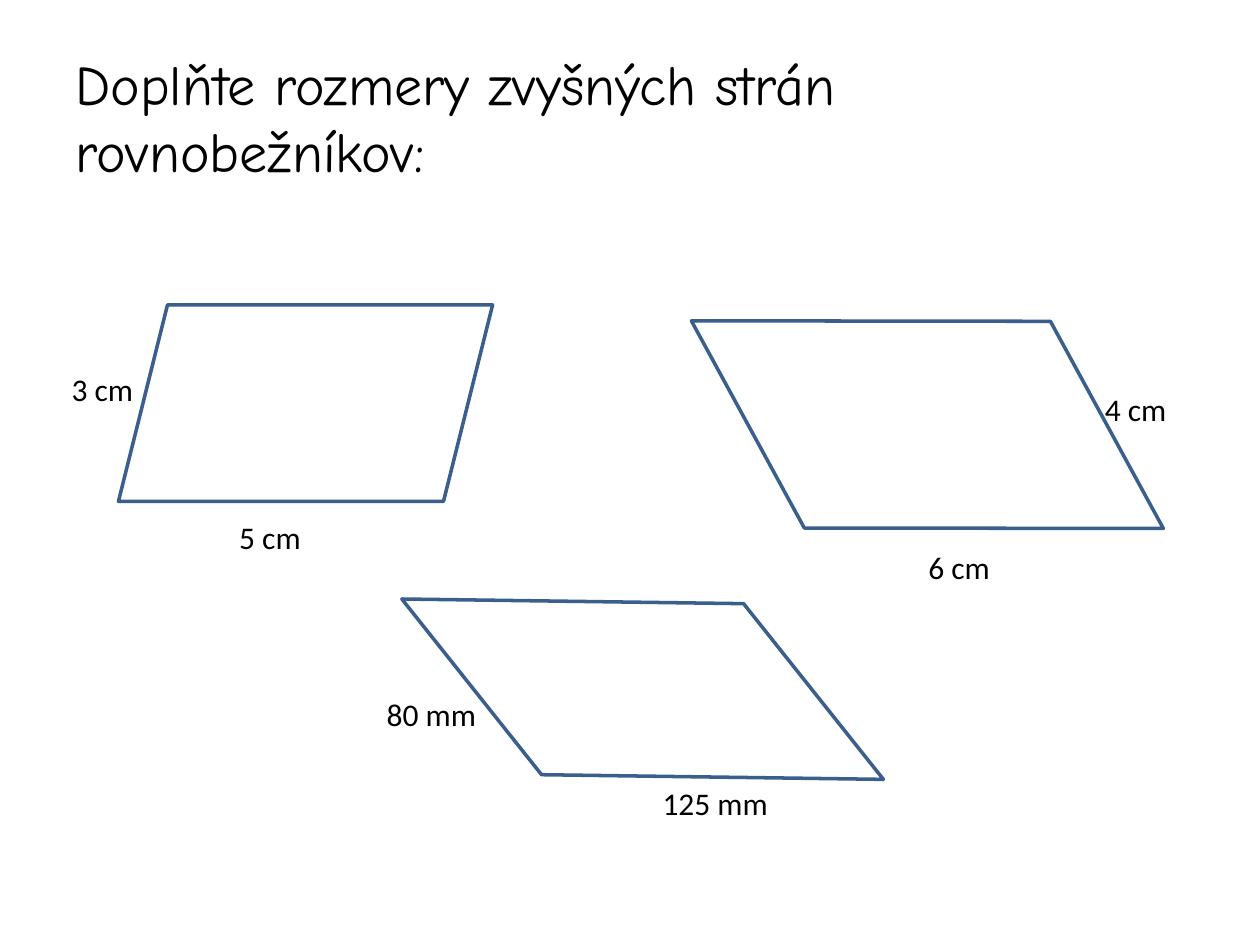
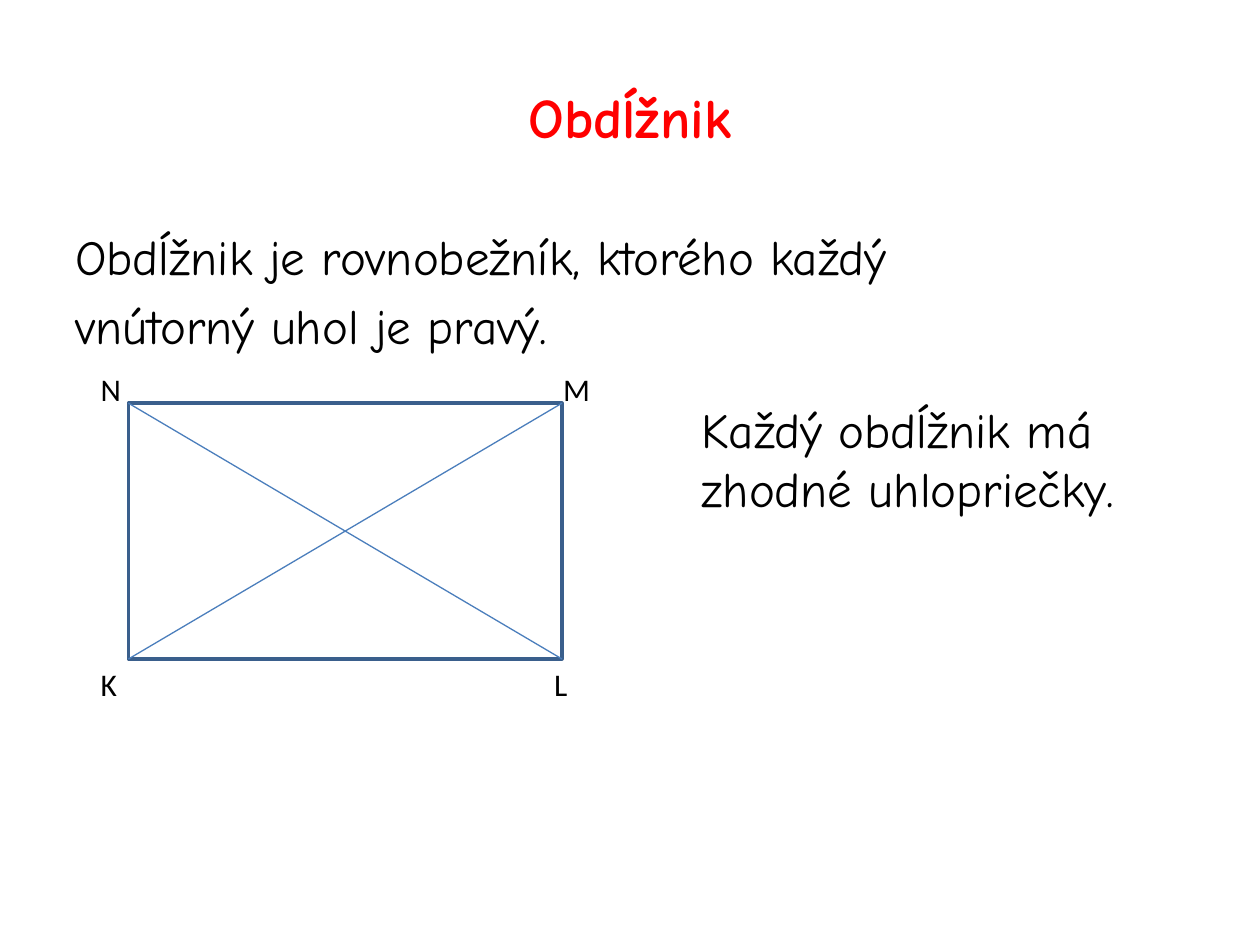
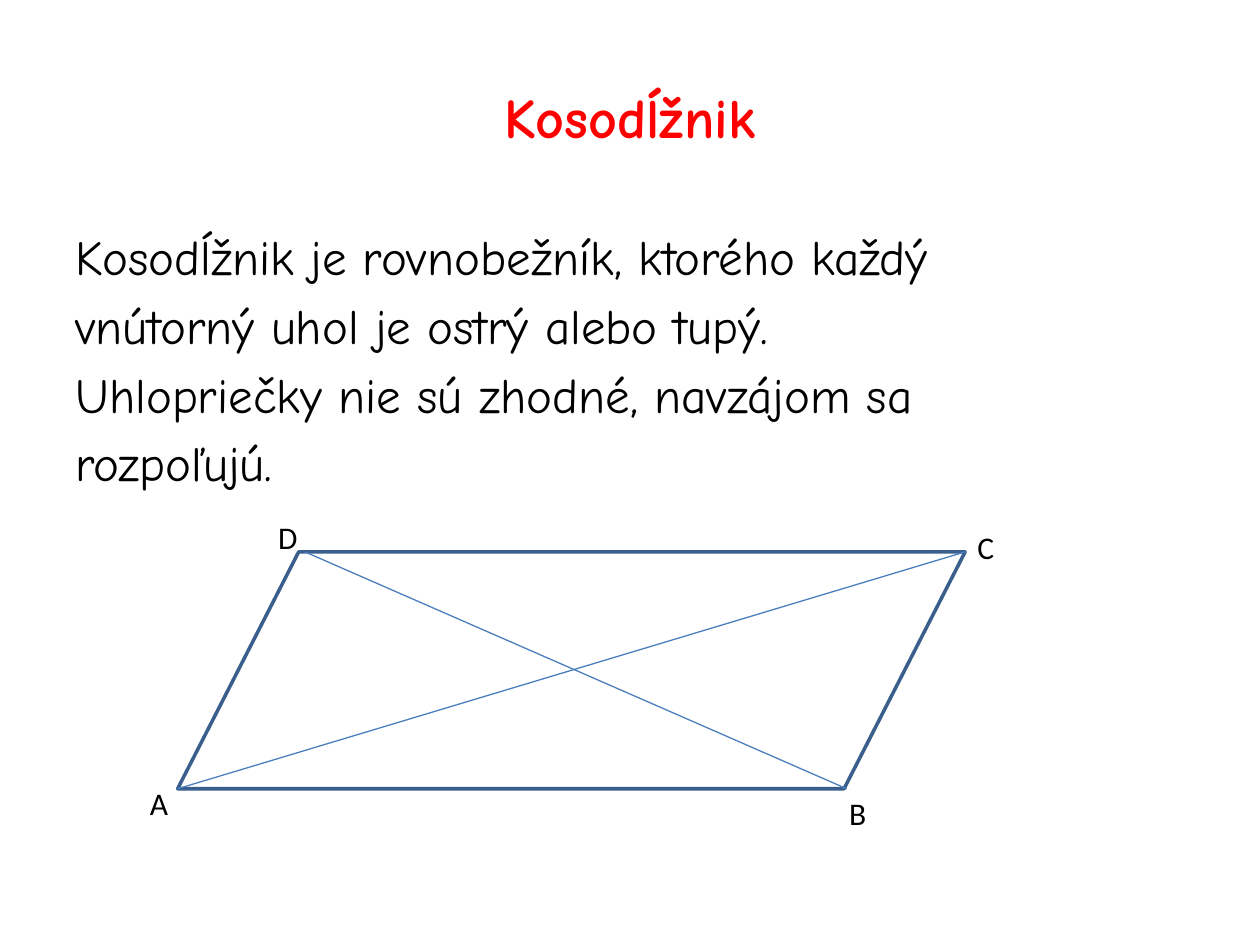
from lxml import etree
from pptx import Presentation
from pptx import util as u
from pptx.dml.color import RGBColor
from pptx.enum import shapes, text
from pptx.oxml import ns

BLACK = RGBColor(0, 0, 0)
RED = RGBColor(255, 0, 0)
EDGE = RGBColor(0x3A, 0x5F, 0x8C)
DIAG = RGBColor(0x4B, 0x7E, 0xBC)
HAND = "Comic Neue"
PLAIN = "Calibri"
RECT = shapes.MSO_SHAPE.RECTANGLE
SLANT = shapes.MSO_SHAPE.PARALLELOGRAM


def add_text(slide, lines, box, face, size, color=BLACK, bold=False, gap=0):
    frame = slide.shapes.add_textbox(*map(u.Inches, box)).text_frame
    frame.word_wrap = True
    frame.text = "\n".join(lines)
    for i, para in enumerate(frame.paragraphs):
        if i:
            para.space_before = u.Pt(gap)
        for run in para.runs:
            font = run.font
            font.name = face
            font.size = u.Pt(size)
            font.bold = bold
            font.color.rgb = color
    return frame


def add_title(slide, line, color=RED, bold=True, align=text.PP_ALIGN.CENTER):
    frame = add_text(slide, [line], (0.5, 0.3, 9, 1.25), HAND, 32, color, bold)
    frame.vertical_anchor = text.MSO_ANCHOR.MIDDLE
    frame.paragraphs[0].alignment = align


def add_body(slide, lines):
    add_text(slide, lines, (0.5, 1.75, 9, 4.95), HAND, 28, gap=5.6)


def add_note(slide, lines, box, face=PLAIN, size=18):
    frame = add_text(slide, lines, box, face, size)
    frame.word_wrap = False
    frame.auto_size = text.MSO_AUTO_SIZE.SHAPE_TO_FIT_TEXT


def add_labels(slide, labels):
    for name, left, top, width in labels:
        add_note(slide, [name], (left, top, width, 0.4))


def add_figure(slide, kind, box, slant=None, turn=0):
    shape = slide.shapes.add_shape(kind, *map(u.Inches, box))
    shape.shadow.inherit = False
    shape.fill.background()
    shape.line.color.rgb = EDGE
    shape.line.width = u.Pt(2)
    shape.rotation = turn
    if slant is not None:
        shape.adjustments[0] = slant


def add_diagonal(slide, *ends):
    line = slide.shapes.add_connector(
        shapes.MSO_CONNECTOR.STRAIGHT, *map(u.Inches, ends))
    line.line.color.rgb = DIAG
    line.line.width = u.Pt(0.75)
    etree.SubElement(line._element.spPr, ns.qn("a:effectLst"))


def build_task(slide):
    add_title(slide, "Doplňte rozmery zvyšných strán rovnobežníkov:",
              BLACK, False, text.PP_ALIGN.LEFT)
    add_figure(slide, SLANT, (0.94, 2.42, 2.97, 1.56), 0.25)
    add_figure(slide, SLANT, (5.74, 2.12, 3.24, 2.5), 0.547, 241.4)
    add_figure(slide, SLANT, (3.35, 4.42, 3.5, 2.1), 0.818, 51.5)
    add_labels(slide, [
        ("3 cm", 0.47, 2.89, 0.7),
        ("5 cm", 1.8, 4.06, 0.7),
        ("6 cm", 7.27, 4.3, 0.7),
        ("4 cm", 8.67, 3.05, 0.7),
        ("125 mm", 5.16, 6.17, 1.05),
        ("80 mm", 2.97, 5.47, 0.92),
    ])


def build_oblong(slide):
    add_title(slide, "Obdĺžnik")
    add_body(slide, ["Obdĺžnik je rovnobežník, ktorého každý",
                     "vnútorný uhol je pravý."])
    left, top, width, height = 1.02, 3.2, 3.44, 2.03
    right, base = left + width, top + height
    add_figure(slide, RECT, (left, top, width, height))
    add_labels(slide, [
        ("K", 0.7, base, 0.33),
        ("L", 4.3, base, 0.31),
        ("M", 4.37, 2.89, 0.42),
        ("N", 0.7, 2.89, 0.36),
    ])
    add_note(slide, ["Každý obdĺžnik má", "zhodné uhlopriečky."],
             (5.47, 3.12, 3.84, 1.04), HAND, 28)
    add_diagonal(slide, left, base, right, top)
    add_diagonal(slide, left, top, right, base)


def build_rhomboid(slide):
    add_title(slide, "Kosodĺžnik")
    add_body(slide, ["Kosodĺžnik je rovnobežník, ktorého každý",
                     "vnútorný uhol je ostrý alebo tupý.",
                     "Uhlopriečky nie sú zhodné, navzájom sa",
                     "rozpoľujú."])
    left, top, width, height = 1.41, 4.38, 6.25, 1.88
    right, base = left + width, top + height
    add_figure(slide, SLANT, (left, top, width, height), 0.511)
    add_labels(slide, [
        ("A", 1.09, 6.17, 0.35),
        ("B", 6.64, 6.25, 0.34),
        ("C", 7.66, 4.14, 0.34),
        ("D", 2.11, 4.06, 0.36),
    ])
    add_diagonal(slide, left, base, right, top)
    add_diagonal(slide, 2.42, top, 6.72, base)


def main():
    deck = Presentation()
    deck.slide_width = u.Inches(10)
    deck.slide_height = u.Inches(7.5)
    for build in (build_task, build_oblong, build_rhomboid):
        build(deck.slides.add_slide(deck.slide_layouts[6]))
    deck.save("out.pptx")


if __name__ == "__main__":
    main()
